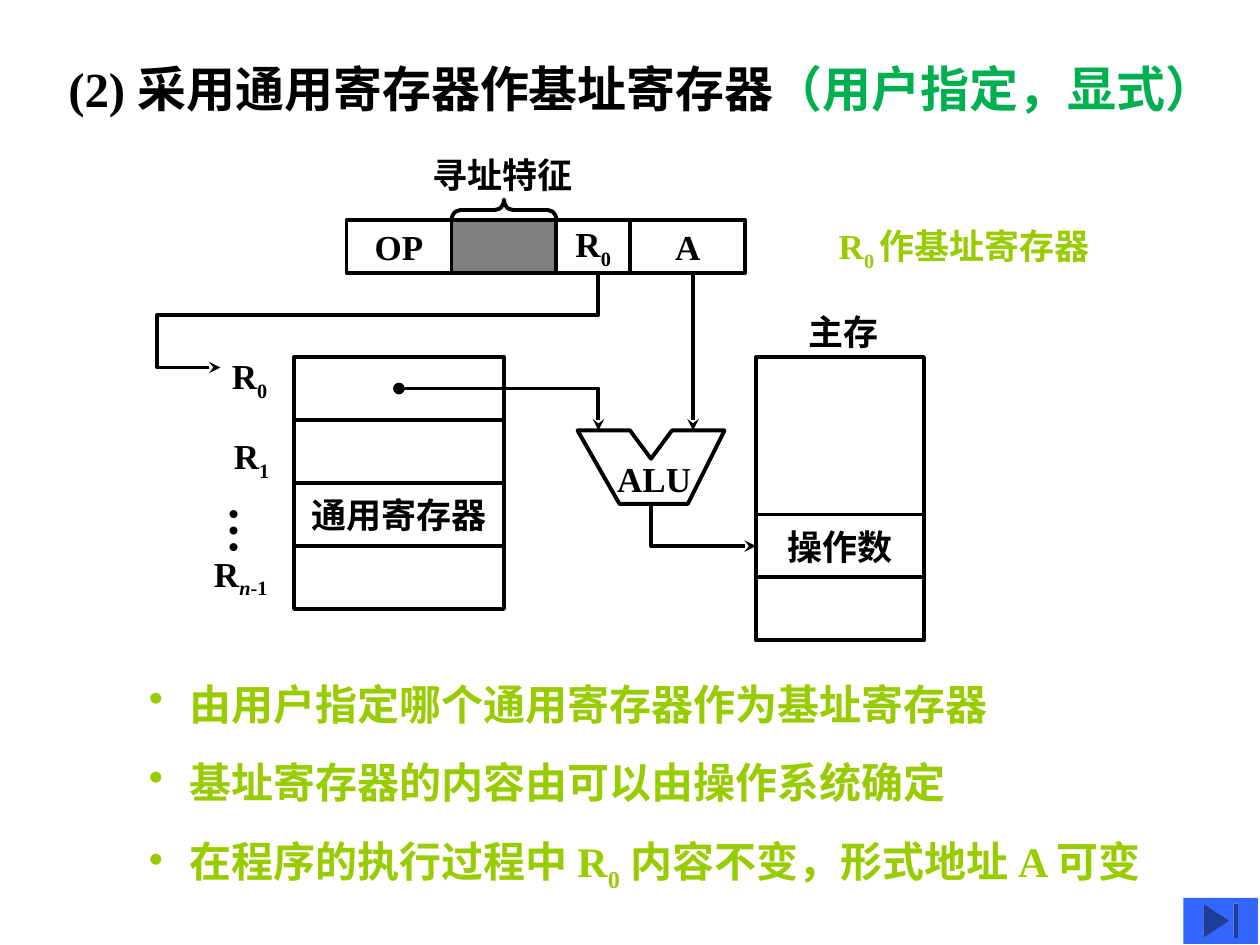
import dataclasses
import typing

import pptx
import pptx.dml.color
import pptx.enum.shapes
import pptx.enum.text
import pptx.oxml.ns
import pptx.util
from lxml import etree

RGB = pptx.dml.color.RGBColor
KIND = pptx.enum.shapes.MSO_SHAPE
ALIGN = pptx.enum.text.PP_ALIGN
ANCHOR = pptx.enum.text.MSO_ANCHOR
FIT = pptx.enum.text.MSO_AUTO_SIZE

BLACK = RGB(0x00, 0x00, 0x00)
GREEN = RGB(0x00, 0xB0, 0x50)
LIME = RGB(0x99, 0xCC, 0x00)
BLUE = RGB(0x33, 0x66, 0xFF)

SCALE = 7620  # EMU in one px, 120 px to the inch
FONT = {"name": "Times New Roman", "bold": True}
FRAME = {"word_wrap": False, "auto_size": FIT.NONE, "vertical_anchor": ANCHOR.TOP}
INSETS = {"margin_left": 12, "margin_right": 12, "margin_top": 6, "margin_bottom": 6}


class Run(typing.NamedTuple):
    text: str
    sub: bool = False
    slant: bool = False
    color: typing.Optional[RGB] = None


class Box(typing.NamedTuple):
    x: int
    y: int
    w: int
    h: int


@dataclasses.dataclass
class Label:
    box: Box
    runs: list
    size: int = 20
    color: RGB = BLACK
    bullet: bool = False


@dataclasses.dataclass
class Cell:
    box: Box
    runs: list = dataclasses.field(default_factory=list)
    shade: bool = False


@dataclasses.dataclass
class Wire:
    points: list
    head: str = ""
    tail: str = "stealth"


def reg(index: str) -> list:
    return [Run("R"), Run(index, sub=True)]


TITLE = Label(Box(53, 50, 1126, 68), [
    Run("(2) 采用通用寄存器作基址寄存器"),
    Run("（用户指定，显式）", color=GREEN)], 28)

CELLS = [
    # instruction word
    Cell(Box(330, 210, 100, 50), [Run("OP")]),
    Cell(Box(430, 210, 100, 50), shade=True),
    Cell(Box(530, 210, 70, 50), reg("0")),
    Cell(Box(600, 210, 110, 50), [Run("A")]),
    # main memory
    Cell(Box(720, 340, 160, 150)),
    Cell(Box(720, 490, 160, 60), [Run("操作数")]),
    Cell(Box(720, 550, 160, 60)),
    # general registers
    Cell(Box(280, 340, 200, 120)),
    Cell(Box(280, 460, 200, 60), [Run("通用寄存器")]),
    Cell(Box(280, 520, 200, 60)),
]

LABELS = [
    Label(Box(758, 290, 90, 53), [Run("主存")]),
    Label(Box(400, 140, 157, 53), [Run("寻址特征")]),
    Label(Box(576, 430, 95, 53), [Run("ALU")]),
    Label(Box(209, 332, 58, 58), reg("0")),
    Label(Box(211, 408, 58, 58), reg("1")),
    Label(Box(192, 520, 74, 58),
          [Run("R"), Run("n", sub=True, slant=True), Run("-1", sub=True)]),
    Label(Box(787, 208, 275, 58),
          [Run("R"), Run("0 ", sub=True), Run("作基址寄存器")], color=LIME),
    Label(Box(130, 640, 940, 60),
          [Run(" 由用户指定哪个通用寄存器作为基址寄存器")], 24, LIME, True),
    Label(Box(130, 715, 817, 60),
          [Run(" 基址寄存器的内容由可以由操作系统确定")], 24, LIME, True),
    Label(Box(130, 790, 990, 110),
          [Run(" 在程序的执行过程中 R"), Run("0", sub=True),
           Run(" 内容不变，形式地址 A 可变")], 24, LIME, True),
]

WIRES = [
    Wire([(570, 260), (570, 300), (150, 300), (150, 350), (210, 350)]),
    Wire([(380, 370), (570, 370), (570, 410)], head="oval"),
    Wire([(620, 480), (620, 520), (720, 520)]),
]
LINES = [
    Wire([(660, 260), (660, 410)]),
    Wire([(280, 400), (480, 400)], tail=""),
]
ALU = [(550, 410), (600, 410), (620, 437), (640, 410), (690, 410), (655, 480), (590, 480)]


def emu(px: int) -> pptx.util.Emu:
    return pptx.util.Emu(px * SCALE)


def apply(target, values: dict) -> None:
    for key, value in values.items():
        setattr(target, key, value)


def child(parent, tag: str, **attrs: str):
    return etree.SubElement(parent, pptx.oxml.ns.qn(tag), attrs)


def ink(shape) -> None:
    apply(shape.line, {"width": pptx.util.Pt(2.25)})
    shape.line.color.rgb = BLACK


def tips(shape, wire: Wire) -> None:
    line = shape.line._get_or_add_ln()
    for tag, kind in (("a:headEnd", wire.head), ("a:tailEnd", wire.tail)):
        if kind:
            child(line, tag, type=kind)


def write(shape, label: Label, **frame) -> None:
    text = shape.text_frame
    apply(text, FRAME | {key: emu(px) for key, px in INSETS.items()} | frame)
    para = text.paragraphs[0]
    para.alignment = ALIGN.LEFT
    if label.bullet:
        text.word_wrap = True
        props = para._p.get_or_add_pPr()
        props.set("marL", str(emu(30)))
        props.set("indent", str(-emu(30)))
        color = child(props, "a:buClr")
        child(color, "a:srgbClr", val=str(label.color))
        child(props, "a:buChar", char="•")
    for item in label.runs:
        run = para.add_run()
        run.text = item.text
        apply(run.font, FONT | {"size": pptx.util.Pt(label.size), "italic": item.slant})
        run.font.color.rgb = item.color or label.color
        if item.sub:
            run._r.get_or_add_rPr().set("baseline", "-25000")


def add_label(slide, label: Label):
    shape = slide.shapes.add_textbox(*map(emu, label.box))
    write(shape, label)
    return shape


def add_form(slide, kind, box: Box):
    shape = slide.shapes.add_shape(kind, *map(emu, box))
    shape.shadow.inherit = False
    shape.fill.background()
    return shape


def add_cell(slide, cell: Cell) -> None:
    shape = add_form(slide, KIND.RECTANGLE, cell.box)
    ink(shape)
    if cell.shade:
        shape.fill.solid()
        shape.fill.fore_color.rgb = BLACK
        tint = shape._element.spPr.find(".//" + pptx.oxml.ns.qn("a:srgbClr"))
        child(tint, "a:alpha", val="50000")
    if cell.runs:
        write(shape, Label(cell.box, cell.runs), vertical_anchor=ANCHOR.MIDDLE)
        shape.text_frame.paragraphs[0].alignment = ALIGN.CENTER


def add_route(slide, points: list, close: bool = False):
    form = slide.shapes.build_freeform(*points[0], scale=SCALE)
    form.add_line_segments(points[1:], close=close)
    shape = form.convert_to_shape()
    shape.shadow.inherit = False
    shape.fill.background()
    ink(shape)
    return shape


def add_line(slide, wire: Wire) -> None:
    ends = [emu(px) for point in wire.points for px in point]
    line = slide.shapes.add_connector(pptx.enum.shapes.MSO_CONNECTOR.STRAIGHT, *ends)
    ink(line)
    tips(line, wire)
    child(line._element.spPr, "a:effectLst")


def main() -> None:
    deck = pptx.Presentation()
    apply(deck, {"slide_width": emu(1200), "slide_height": emu(900)})
    slide = deck.slides.add_slide(deck.slide_layouts[5])
    title = slide.shapes.title
    apply(title, dict(zip(("left", "top", "width", "height"), map(emu, TITLE.box))))
    write(title, TITLE)

    for cell in CELLS:
        add_cell(slide, cell)
    brace = add_form(slide, KIND.LEFT_BRACE, Box(470, 150, 20, 100))
    brace.rotation = 90
    brace.adjustments[0] = 0.42
    ink(brace)
    add_route(slide, ALU, close=True)
    for wire in WIRES:
        tips(add_route(slide, wire.points), wire)
    for wire in LINES:
        add_line(slide, wire)
    for label in LABELS:
        add_label(slide, label)
    dots = add_label(slide, Label(Box(193, 470, 79, 70), [Run("…")], 28))
    apply(dots.text_frame, {"word_wrap": True, "margin_top": emu(12)})
    dots.text_frame._txBody.bodyPr.set("vert", "eaVert")

    button = add_form(slide, KIND.ACTION_BUTTON_END, Box(1127, 855, 71, 44))
    button.fill.solid()
    button.fill.fore_color.rgb = BLUE
    button.line.fill.background()
    deck.save("out.pptx")


if __name__ == "__main__":
    main()
